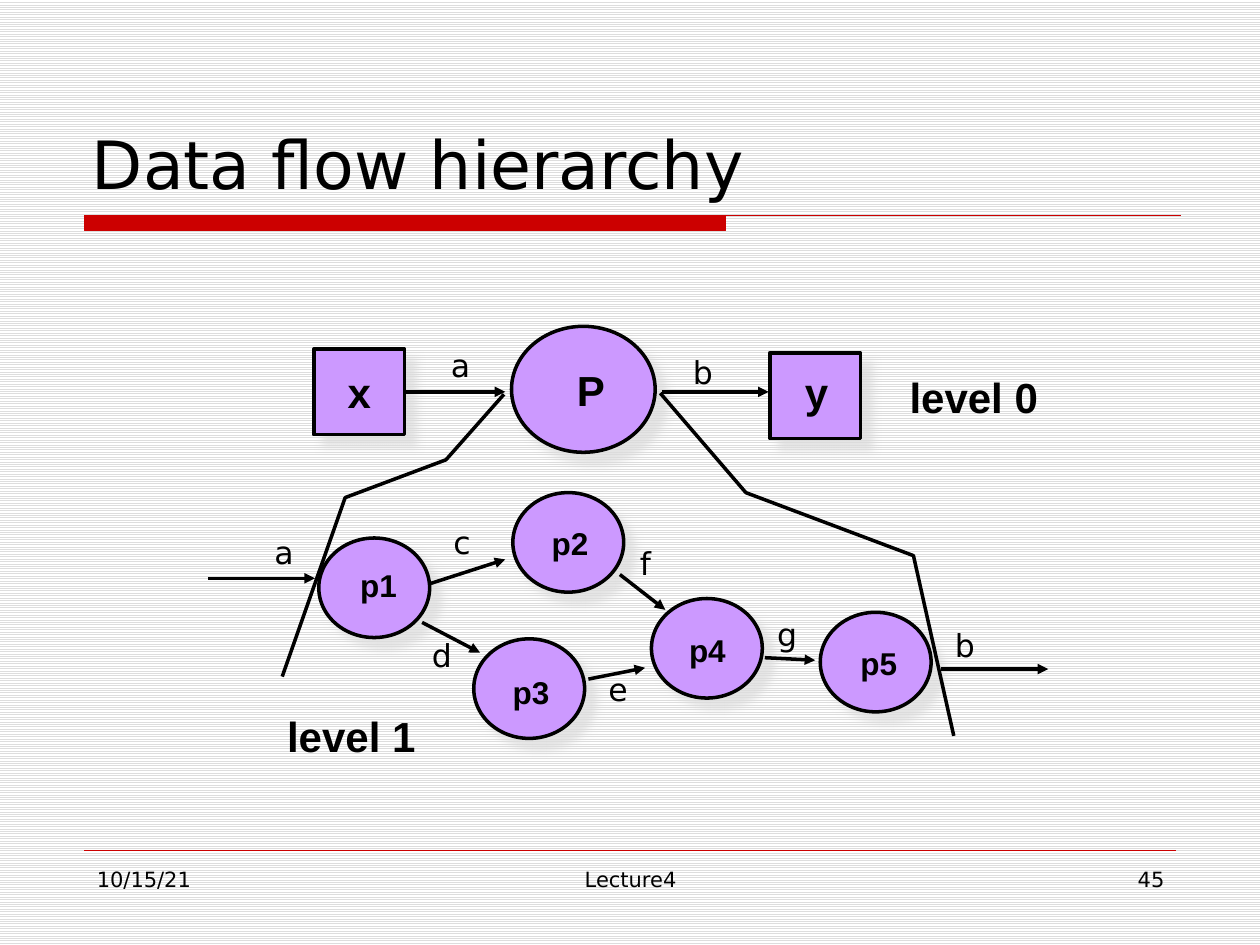
from lxml import etree
from pptx import Presentation
from pptx.dml.color import RGBColor
from pptx.enum.dml import MSO_PATTERN
from pptx.enum.shapes import MSO_CONNECTOR, MSO_SHAPE
from pptx.enum.text import MSO_ANCHOR, MSO_AUTO_SIZE, PP_ALIGN
from pptx.oxml.ns import qn
from pptx.util import Inches, Pt

STRAIGHT = MSO_CONNECTOR.STRAIGHT
OVAL, RECTANGLE = MSO_SHAPE.OVAL, MSO_SHAPE.RECTANGLE
LEFT, CENTER, RIGHT = PP_ALIGN.LEFT, PP_ALIGN.CENTER, PP_ALIGN.RIGHT

COLORS = {"ink": "000000", "node": "CC99FF", "accent": "CC0000",
          "stripe": "DDDDDD", "paper": "FFFFFF"}
HEADING_FONT, NODE_FONT = "DejaVu Sans", "Arial"
RIGHT_SIDE = 3

# name: shape, box, label position, label width, label size
BIG, SMALL = 24, 18
NODES = {
    "P": (OVAL, (4.06, 2.59, 1.14, 1), (4.48, 2.84), 0.42, BIG),
    "x": (RECTANGLE, (2.49, 2.77, 0.72, 0.68), (2.66, 2.86), 0.38, BIG),
    "y": (RECTANGLE, (6.11, 2.8, 0.72, 0.68), (6.29, 2.86), 0.38, BIG),
    "p1": (OVAL, (2.53, 4.27, 0.88, 0.79), (2.76, 4.44), 0.49, SMALL),
    "p2": (OVAL, (4.07, 3.91, 0.88, 0.79), (4.28, 4.11), 0.49, SMALL),
    "p3": (OVAL, (3.76, 5.07, 0.88, 0.79), (3.97, 5.29), 0.49, SMALL),
    "p4": (OVAL, (5.17, 4.75, 0.88, 0.79), (5.37, 4.96), 0.49, SMALL),
    "p5": (OVAL, (6.51, 4.86, 0.88, 0.79), (6.73, 5.06), 0.49, SMALL),
}
# name, start, end, label position, label width
FLOWS = [
    ("b", (5.25, 3.11), (6.1, 3.11), (5.4, 2.75), 0.36),
    ("a", (1.65, 4.59), (2.5, 4.59), (2.08, 4.18), 0.35),
    ("b", (7.47, 5.31), (8.32, 5.31), (7.48, 4.92), 0.36),
    ("c", (3.42, 4.63), (4.01, 4.44), (3.5, 4.1), 0.33),
    ("d", (3.35, 4.94), (3.81, 5.18), (3.33, 5), 0.36),
    ("e", (4.67, 5.39), (5.12, 5.3), (4.73, 5.27), 0.35),
    ("f", (4.92, 4.56), (5.28, 4.84), (4.98, 4.27), 0.29),
    ("g", (6.07, 5.22), (6.47, 5.24), (6.07, 4.83), 0.36),
]
EXPANSION_EDGES = [
    [(4, 3.13), (3.54, 3.65), (2.74, 3.95), (2.24, 5.37)],
    [(5.24, 3.12), (5.92, 3.91), (7.25, 4.41), (7.57, 5.84)],
]
LEVELS = [("level 0", (7.12, 2.9)), ("level 1", (2.18, 5.59))]
FOOTERS = [("10/15/21", 0.67, 2.17, LEFT), ("Lecture4", 3.42, 3.17, CENTER),
           ("45", 7.17, 2.17, RIGHT)]


def color(name):
    return RGBColor.from_string(COLORS[name])


def inches(values):
    return [Inches(value) for value in values]


def set_line(shape, name="ink", width=2):
    shape.line.color.rgb = color(name)
    shape.line.width = Pt(width)


def set_text(shape, text, size, font=HEADING_FONT, bold=False, align=LEFT):
    shape.text_frame.text = text
    paragraph = shape.text_frame.paragraphs[0]
    paragraph.alignment = align
    paragraph.font.name = font
    paragraph.font.size = Pt(size)
    paragraph.font.bold = bold
    paragraph.font.color.rgb = color("ink")


def add_label(shapes, text, position, width, size, font=HEADING_FONT, bold=False):
    height = 0.5 if size == BIG else 0.4
    label = shapes.add_textbox(*inches((*position, width, height)))
    label.text_frame.word_wrap = False
    label.text_frame.auto_size = MSO_AUTO_SIZE.SHAPE_TO_FIT_TEXT
    set_text(label, text, size, font, bold)


def add_soft_shadow(shape):
    effects = etree.SubElement(shape._element.spPr, qn("a:effectLst"))
    shadow = etree.SubElement(effects, qn("a:outerShdw"), blurRad=str(Pt(5)),
                              dist=str(Pt(8.5)), dir="2700000", algn="ctr",
                              rotWithShape="0")
    tint = etree.SubElement(shadow, qn("a:srgbClr"), val=COLORS["stripe"])
    etree.SubElement(tint, qn("a:alpha"), val="75000")


def add_node(shapes, kind, box):
    node = shapes.add_shape(kind, *inches(box))
    node.fill.solid()
    node.fill.fore_color.rgb = color("node")
    set_line(node)
    add_soft_shadow(node)
    return node


def add_line(shapes, start, end, name="ink", width=2):
    line = shapes.add_connector(STRAIGHT, *inches((*start, *end)))
    set_line(line, name, width)
    etree.SubElement(line._element.spPr, qn("a:effectLst"))
    return line


def add_arrow(shapes, start, end):
    arrow = add_line(shapes, start, end)
    etree.SubElement(arrow.line._get_or_add_ln(), qn("a:tailEnd"), type="triangle")
    return arrow


def add_polyline(shapes, points):
    builder = shapes.build_freeform(*inches(points[0]))
    builder.add_line_segments([inches(point) for point in points[1:]], close=False)
    polyline = builder.convert_to_shape()
    polyline.fill.background()
    polyline.shadow.inherit = False
    set_line(polyline)


def add_title_rule(shapes):
    """Draw a thick bar whose top edge runs on as a thin line."""
    left, bar_right, line_right, top, bottom = inches((0.67, 5.76, 9.37, 1.71, 1.83))
    builder = shapes.build_freeform(left, top)
    builder.add_line_segments([(bar_right, top), (bar_right, bottom), (left, bottom)])
    builder.move_to(left, top)
    builder.add_line_segments([(line_right, top)], close=False)
    rule = builder.convert_to_shape()
    rule.fill.solid()
    rule.fill.fore_color.rgb = color("accent")
    rule.shadow.inherit = False
    set_line(rule, "accent", 0.75)


def add_frame(slide):
    """Add the striped background, rules, footers and title."""
    background = slide.background.fill
    background.patterned()
    background.pattern = MSO_PATTERN.LIGHT_HORIZONTAL
    background.fore_color.rgb = color("stripe")
    background.back_color.rgb = color("paper")

    add_title_rule(slide.shapes)
    add_line(slide.shapes, (0.67, 6.75), (9.33, 6.75), "accent", 0.25)
    for text, left, width, align in FOOTERS:
        footer = slide.shapes.add_textbox(*inches((left, 6.83, width, 0.52)))
        footer.text_frame.word_wrap = True
        set_text(footer, text, 12, align=align)

    title = slide.shapes.title
    title.left, title.top, title.width, title.height = inches((0.63, 0.33, 8.75, 1.33))
    title.text_frame.vertical_anchor = MSO_ANCHOR.BOTTOM
    title.text_frame.auto_size = MSO_AUTO_SIZE.NONE
    set_text(title, "Data flow hierarchy", 38)


def add_diagram(shapes):
    nodes = {name: add_node(shapes, kind, box)
             for name, (kind, box, *_) in NODES.items()}
    for points in EXPANSION_EDGES:
        add_polyline(shapes, points)
    input_arrow = add_arrow(shapes, (3.21, 3.11), (4.01, 3.11))
    input_arrow.begin_connect(nodes["x"], RIGHT_SIDE)
    add_label(shapes, "a", (3.48, 2.7), 0.35, SMALL)
    for name, start, end, position, width in FLOWS:
        add_arrow(shapes, start, end)
        add_label(shapes, name, position, width, SMALL)
    for name, (_, _, position, width, size) in NODES.items():
        add_label(shapes, name, position, width, size, NODE_FONT, True)
    for name, position in LEVELS:
        add_label(shapes, name, position, 1.22, BIG, NODE_FONT, True)


def main():
    presentation = Presentation()
    presentation.slide_width, presentation.slide_height = Inches(10), Inches(7.5)
    slide = presentation.slides.add_slide(presentation.slide_layouts[5])
    add_frame(slide)
    add_diagram(slide.shapes.add_group_shape().shapes)
    presentation.save("out.pptx")


if __name__ == "__main__":
    main()
